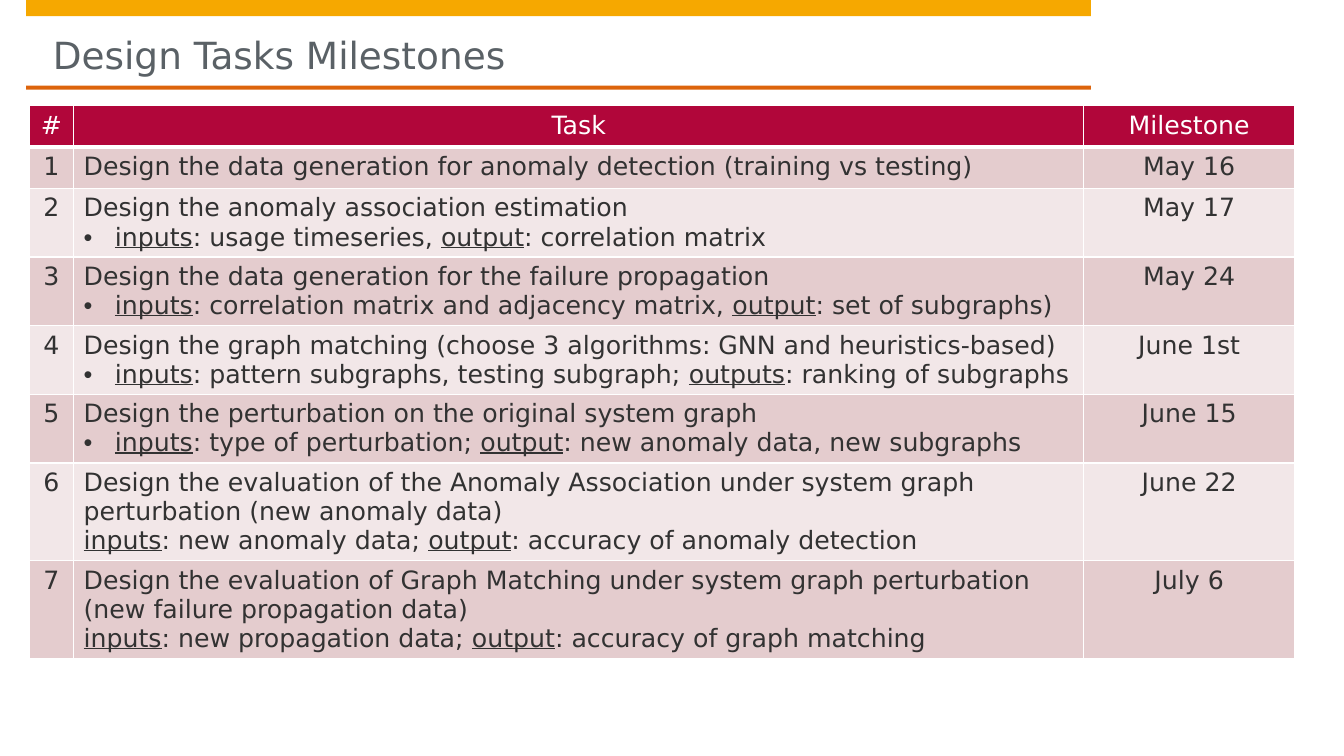
"""Build the design tasks milestones slide."""
from dataclasses import dataclass

from lxml.etree import SubElement
from pptx import Presentation
from pptx.dml.color import RGBColor
from pptx.enum.shapes import MSO_SHAPE
from pptx.enum.text import MSO_ANCHOR, PP_ALIGN
from pptx.oxml.ns import qn
from pptx.util import Inches, Pt


@dataclass(frozen=True)
class Theme:
    """Colours, font and type sizes of the slide."""
    font: str = "DejaVu Sans"
    title_size: float = 26.7
    table_size: float = 18
    white: str = "FFFFFF"
    band: str = "F6A800"
    rule: str = "DD640C"
    title: str = "5A6166"
    body: str = "323232"
    header: str = "B1063A"
    rows: tuple = ("E4CCCE", "F2E7E8")


@dataclass(frozen=True)
class Box:
    """A region in inches."""
    left: float
    top: float
    width: float
    height: float

    def share(self, left, top, width, height):
        """Return the region covering the given shares of this one."""
        return Box(self.left + left * self.width, self.top + top * self.height,
                   width * self.width, height * self.height)

    def emu(self):
        """Return left, top, width and height as slide lengths."""
        return [Inches(side) for side in (self.left, self.top, self.width, self.height)]


@dataclass(frozen=True)
class Task:
    """One row of the plan, with its inputs and outputs."""
    name: str
    milestone: str
    inputs: str = ""
    output_label: str = "output"
    output: str = ""
    bulleted: bool = True


THEME = Theme()
COLUMNS = (0.44, 10.02, 2.09)
LINE_HEIGHT, CELL_PADDING, BULLET_INDENT = 0.29, 0.1, 0.31
HEADER_ROW = 0.41
HEADINGS = ("#", "Task", "Milestone")
TASKS = (
    Task("Design the data generation for anomaly detection (training vs testing)", "May 16"),
    Task("Design the anomaly association estimation", "May 17",
         ": usage timeseries, ", output=": correlation matrix"),
    Task("Design the data generation for the failure propagation", "May 24",
         ": correlation matrix and adjacency matrix, ", output=": set of subgraphs)"),
    Task("Design the graph matching (choose 3 algorithms: GNN and heuristics-based)", "June 1st",
         ": pattern subgraphs, testing subgraph; ", "outputs", ": ranking of subgraphs"),
    Task("Design the perturbation on the original system graph", "June 15",
         ": type of perturbation; ", output=": new anomaly data, new subgraphs"),
    Task("Design the evaluation of the Anomaly Association under system graph "
         "perturbation (new anomaly data)", "June 22",
         ": new anomaly data; ", output=": accuracy of anomaly detection", bulleted=False),
    Task("Design the evaluation of Graph Matching under system graph perturbation "
         "(new failure propagation data)", "July 6",
         ": new propagation data; ", output=": accuracy of graph matching", bulleted=False),
)


def add_run(paragraph, text, size, color, underline=False):
    """Add one formatted run to a paragraph."""
    run = paragraph.add_run()
    run.text = text
    run.font.name = THEME.font
    run.font.size = Pt(size)
    run.font.bold = False
    run.font.underline = underline
    run.font.color.rgb = RGBColor.from_string(color)


def add_bar(slide, box, color):
    """Draw a plain filled bar."""
    bar = slide.shapes.add_shape(MSO_SHAPE.RECTANGLE, *box.emu())
    bar.shadow.inherit = False
    bar.fill.solid()
    bar.fill.fore_color.rgb = RGBColor.from_string(color)
    bar.line.fill.background()


def add_heading(slide, box, text):
    """Place the band, the title and the rule in the heading box."""
    add_bar(slide, box.share(0, 0, 1, 0.18), THEME.band)
    add_bar(slide, box.share(0, 0.955, 1, 0.045), THEME.rule)
    title = slide.shapes.title
    title.left, title.top, title.width, title.height = box.share(0.025, 0.18, 0.95, 0.685).emu()
    frame = title.text_frame
    frame.margin_left = frame.margin_right = frame.margin_bottom = 0
    frame.margin_top = Inches(0.16)
    frame.vertical_anchor = MSO_ANCHOR.MIDDLE
    frame.word_wrap = True
    paragraph = frame.paragraphs[0]
    paragraph.alignment = PP_ALIGN.LEFT
    add_run(paragraph, text, THEME.title_size, THEME.title)


def style_cell(cell, fill, bottom_width=1):
    """Give a cell white borders and a solid fill."""
    properties = cell._tc.get_or_add_tcPr()
    for side in "LRTB":
        width = bottom_width if side == "B" else 1
        line = SubElement(properties, qn(f"a:ln{side}"), w=str(Pt(width)))
        SubElement(SubElement(line, qn("a:solidFill")), qn("a:srgbClr"), val=THEME.white)
    cell.fill.solid()
    cell.fill.fore_color.rgb = RGBColor.from_string(fill)


def write_centred(cell, text, color):
    """Write a single centred line in a cell."""
    paragraph = cell.text_frame.paragraphs[0]
    paragraph.alignment = PP_ALIGN.CENTER
    add_run(paragraph, text, THEME.table_size, color)


def write_task(cell, task):
    """Write the task name and its inputs and outputs."""
    frame = cell.text_frame
    add_run(frame.paragraphs[0], task.name, THEME.table_size, THEME.body)
    if not task.inputs:
        return
    paragraph = frame.add_paragraph()
    if task.bulleted:
        properties = paragraph._p.get_or_add_pPr()
        properties.set("marL", str(Inches(BULLET_INDENT)))
        properties.set("indent", str(-Inches(BULLET_INDENT)))
        SubElement(properties, qn("a:buFont"), typeface="Arial")
        SubElement(properties, qn("a:buChar"), char="•")
    for label, text in (("inputs", task.inputs), (task.output_label, task.output)):
        add_run(paragraph, label, THEME.table_size, THEME.body, underline=True)
        add_run(paragraph, text, THEME.table_size, THEME.body)


def row_height(task):
    """Return the height that the lines of a task need."""
    if not task.inputs:
        return HEADER_ROW
    lines = 2 if task.bulleted else 3
    return lines * LINE_HEIGHT + CELL_PADDING


def add_plan(slide, box):
    """Place the table of tasks and milestones in its box."""
    table = slide.shapes.add_table(len(TASKS) + 1, len(COLUMNS), *box.emu()).table
    table.horz_banding = False
    for column, width in zip(table.columns, COLUMNS):
        column.width = Inches(width)
    for row, height in zip(table.rows, [HEADER_ROW, *map(row_height, TASKS)]):
        row.height = Inches(height)
    for cell, heading in zip(table.rows[0].cells, HEADINGS):
        style_cell(cell, THEME.header, bottom_width=3)
        write_centred(cell, heading, THEME.white)
    for number, task in enumerate(TASKS, 1):
        cells = list(table.rows[number].cells)
        for cell in cells:
            style_cell(cell, THEME.rows[(number - 1) % len(THEME.rows)])
        write_centred(cells[0], str(number), THEME.body)
        write_task(cells[1], task)
        write_centred(cells[2], task.milestone, THEME.body)


def main():
    """Build and save the presentation."""
    presentation = Presentation()
    presentation.slide_width, presentation.slide_height = Inches(13.33), Inches(7.5)
    slide = presentation.slides.add_slide(presentation.slide_layouts[5])
    add_heading(slide, Box(0.26, 0, 10.56, 0.89), "Design Tasks Milestones")
    plan_height = HEADER_ROW + sum(map(row_height, TASKS))
    add_plan(slide, Box(0.29, 1.05, sum(COLUMNS), plan_height))
    presentation.save("out.pptx")


if __name__ == "__main__":
    main()
